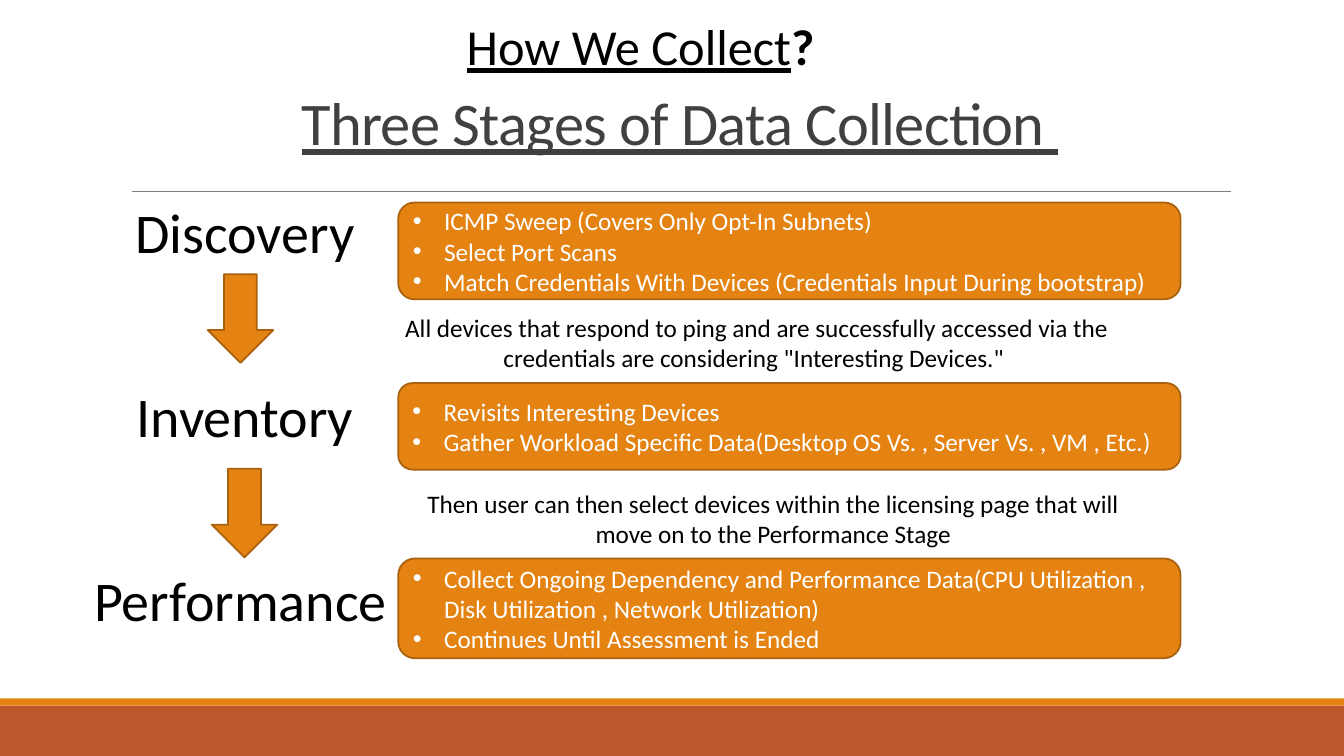
from lxml import etree
from pptx import Presentation, util as u
from pptx.dml.color import RGBColor
from pptx.enum import shapes, text
from pptx.oxml.ns import qn

# Content
HEADING = [("How We Collect", {"underline": True}), ("?", {"bold": True})]
TITLE = "Three Stages of Data Collection "
# name, (name left, top, width), (box top, height), bullets
STAGES = [
    ("Discovery", (1.23, 1.91, 2.4), (2.01, 0.96), [
        "ICMP Sweep (Covers Only Opt-In Subnets)",
        "Select Port Scans",
        "Match Credentials With Devices (Credentials Input During bootstrap)"]),
    ("Inventory", (1.24, 3.74, 2.38), (3.8, 0.86), [
        "Revisits Interesting Devices",
        "Gather Workload Specific Data(Desktop OS Vs. , Server Vs. , VM , Etc.)"]),
    ("Performance", (0.82, 5.56, 3.13), (5.54, 0.99), [
        "Collect Ongoing Dependency and Performance Data(CPU Utilization , "
        "Disk Utilization , Network Utilization)",
        "Continues Until Assessment is Ended"]),
]
NOTES = [
    ("RECTANGLE", (3.76, 3.18, 7.49, 0.44),
     "All devices that respond to ping and are successfully accessed via the "
     "credentials are considering \"Interesting Devices.\" "),
    ("ROUNDED_RECTANGLE", (3.95, 4.83, 7.44, 0.62),
     "Then user can then select devices within the licensing page that will "
     "move on to the Performance Stage"),
]
ARROWS = [(2.06, 2.72), (2.1, 4.65)]
ARROW_SIZE = (0.65, 0.88)
BOX_LEFT, BOX_WIDTH, INDENT = 3.95, 7.76, 0.31
WIDTH, HEIGHT = 13.33, 7.5
FOOTER, STRIPE = 0.5, 0.07
COLORS = {"orange": "E48312", "edge": "A9610D", "rust": "BD582C", "rule": "808080",
          "title": "404040", "black": "000000", "white": "FFFFFF"}

deck = Presentation()
deck.slide_width, deck.slide_height = u.Inches(WIDTH), u.Inches(HEIGHT)
page = deck.slides.add_slide(deck.slide_layouts[5])


def color(name):
    return RGBColor.from_string(COLORS[name])


def inches(*lengths):
    return [u.Inches(length) for length in lengths]


def add_box(kind, place, fill, line=None):
    box = page.shapes.add_shape(getattr(shapes.MSO_SHAPE, kind), *inches(*place))
    box.shadow.inherit = False
    box.fill.solid()
    box.fill.fore_color.rgb = color(fill)
    if line:
        box.line.color.rgb = color(line)
        box.line.width = u.Pt(1.25)
    else:
        box.line.fill.background()
    return box


def add_span(para, words, size, shade, **formats):
    span = para.add_run()
    span.text = words
    span.font.color.rgb = color(shade)
    for key, value in {"name": "Calibri", "size": u.Pt(size), **formats}.items():
        setattr(span.font, key, value)
    return span


def set_frame(box, **formats):
    for key, value in formats.items():
        setattr(box.text_frame, key, value)
    return box.text_frame.paragraphs[0]


def add_bullet(para):
    props = para._p.get_or_add_pPr()
    props.set("marL", str(u.Inches(INDENT)))
    props.set("indent", str(-u.Inches(INDENT)))
    etree.SubElement(props, qn("a:buFont"), typeface="Arial")
    etree.SubElement(props, qn("a:buChar"), char="•")


# Footer bands and rule under the title
add_box("RECTANGLE", (0, HEIGHT - FOOTER, WIDTH, FOOTER), "rust")
add_box("RECTANGLE", (0, HEIGHT - FOOTER - STRIPE, WIDTH, STRIPE), "orange")
rule = page.shapes.add_connector(shapes.MSO_CONNECTOR.STRAIGHT,
                                 *inches(1.31, 1.9, 12.21, 1.9))
rule.line.color.rgb = color("rule")
rule.line.width = u.Pt(0.5)
etree.SubElement(rule._element.spPr, qn("a:effectLst"))

# Title and heading
title = page.shapes.title
title.left, title.top, title.width, title.height = inches(1.24, 1.12, 11, 0.5)
para = set_frame(title, word_wrap=True, auto_size=text.MSO_AUTO_SIZE.NONE,
                 vertical_anchor=text.MSO_ANCHOR.BOTTOM)
para.alignment, para.line_spacing = text.PP_ALIGN.CENTER, 0.85
span = add_span(para, TITLE, 43.2, "title", underline=True)
span._r.get_or_add_rPr().set("spc", "-50")

heading = page.shapes.add_textbox(*inches(4.53, 0.1, 6.29, 0.71))
para = set_frame(heading, word_wrap=True)
for words, formats in HEADING:
    add_span(para, words, 36, "black", **formats)

# Stages: name on the left, bulleted box on the right
for name, (left, top, width), (box_top, box_height), bullets in STAGES:
    label = page.shapes.add_textbox(*inches(left, top, width, 0.77))
    para = set_frame(label, word_wrap=False)
    para.alignment = text.PP_ALIGN.CENTER
    add_span(para, name, 40, "black")

    box = add_box("ROUNDED_RECTANGLE", (BOX_LEFT, box_top, BOX_WIDTH, box_height),
                  "orange", "edge")
    para = set_frame(box, word_wrap=True, vertical_anchor=text.MSO_ANCHOR.MIDDLE)
    for index, words in enumerate(bullets):
        if index:
            para = box.text_frame.add_paragraph()
        para.alignment = text.PP_ALIGN.LEFT
        add_bullet(para)
        add_span(para, words, 18, "white")

# Arrows and notes between the stages
for place in ARROWS:
    add_box("DOWN_ARROW", place + ARROW_SIZE, "orange", "edge")
for kind, place, words in NOTES:
    note = add_box(kind, place, "white", "white")
    para = set_frame(note, word_wrap=True, vertical_anchor=text.MSO_ANCHOR.MIDDLE)
    para.alignment = text.PP_ALIGN.CENTER
    add_span(para, words, 18, "black")

deck.save("out.pptx")
